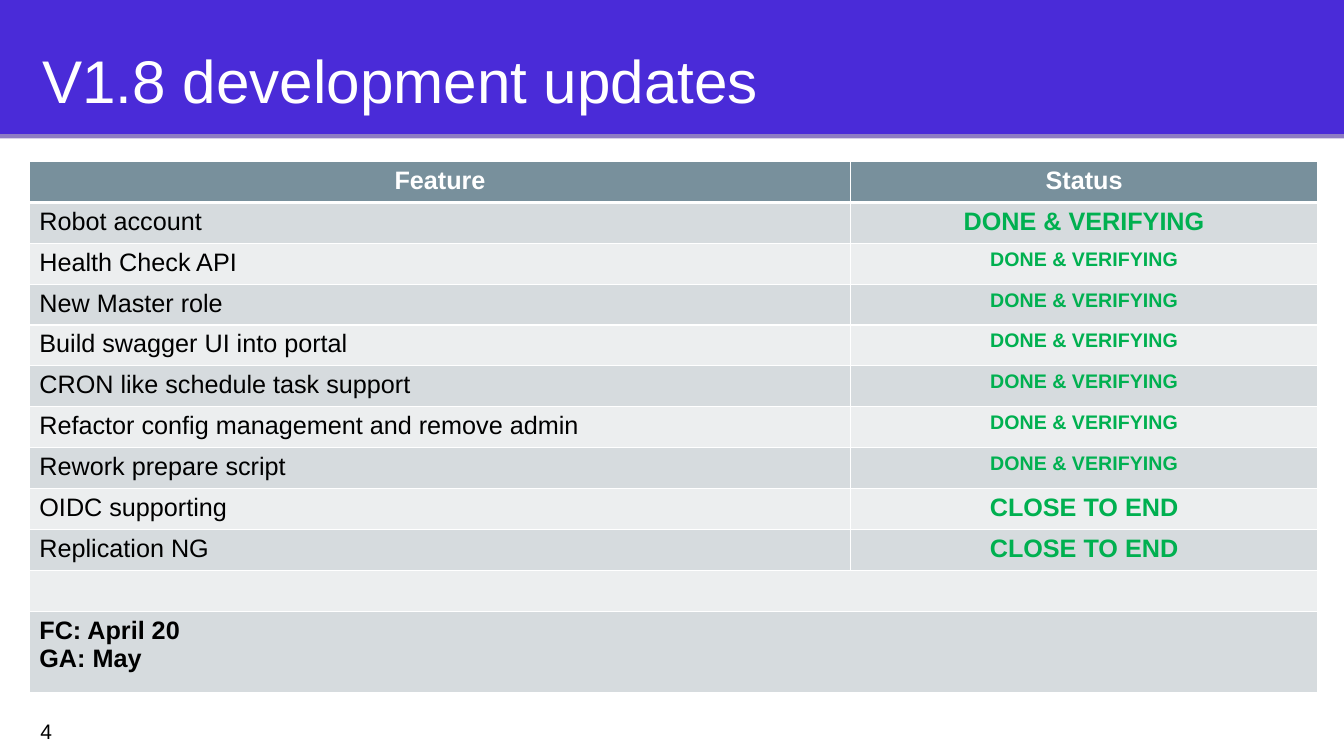
import pptx
import pptx.dml.color
import pptx.enum.shapes
import pptx.enum.text
import pptx.oxml
import pptx.oxml.ns
import pptx.util

Cm, Pt = pptx.util.Cm, pptx.util.Pt
Align = pptx.enum.text.PP_ALIGN
Anchor = pptx.enum.text.MSO_ANCHOR

COLORS = {
    "band": "4A2BD8", "rule": "8E7CC3", "head": "78909C",
    "odd": "D6DBDE", "even": "ECEEEF",
    "white": "FFFFFF", "black": "000000", "green": "00B050",
}
DONE, CLOSE = "DONE & VERIFYING", "CLOSE TO END"
TASKS = [
    ("Robot account", DONE, 18),
    ("Health Check API", DONE, 14),
    ("New Master role", DONE, 14),
    ("Build swagger UI into portal", DONE, 14),
    ("CRON like schedule task support", DONE, 14),
    ("Refactor config management and remove admin", DONE, 14),
    ("Rework prepare script", DONE, 14),
    ("OIDC supporting", CLOSE, 18),
    ("Replication NG", CLOSE, 18),
]


class Deck:
    font = "Arial"

    def __init__(self, width, height):
        self.prs = pptx.Presentation()
        self.prs.slide_width, self.prs.slide_height = Cm(width), Cm(height)
        self.slide = self.prs.slides.add_slide(self.prs.slide_layouts[6])

    def color(self, name):
        return pptx.dml.color.RGBColor.from_string(COLORS[name])

    def paint(self, item, name):
        item.fill.solid()
        item.fill.fore_color.rgb = self.color(name)

    def bar(self, top, height, name):
        kind = pptx.enum.shapes.MSO_SHAPE.RECTANGLE
        bar = self.slide.shapes.add_shape(
            kind, 0, Cm(top), self.prs.slide_width, Cm(height))
        bar.shadow.inherit = False
        bar.line.fill.background()
        self.paint(bar, name)

    def put(self, frame, text, size, name, bold=False, align=Align.LEFT):
        frame.text = text
        for par in frame.paragraphs:
            par.alignment = align
            par.font.name, par.font.size = self.font, Pt(size)
            par.font.bold = bold
            par.font.color.rgb = self.color(name)

    def label(self, text, place, size, name, anchor, inset):
        box = self.slide.shapes.add_textbox(*map(Cm, place))
        frame = box.text_frame
        frame.word_wrap = True
        frame.vertical_anchor = anchor
        frame.margin_left = frame.margin_right = frame.margin_bottom = Cm(0.33)
        frame.margin_top = Cm(inset)
        self.put(frame, text, size, name)

    def edge(self, cell, **widths):
        props = cell._tc.get_or_add_tcPr()
        space = pptx.oxml.ns.nsdecls("a")
        for spot, side in enumerate("LRTB"):
            width = Pt(widths.get(side, 1))
            props.insert(spot, pptx.oxml.parse_xml(
                f'<a:ln{side} {space} w="{width}"><a:solidFill>'
                f'<a:srgbClr val="{COLORS["white"]}"/>'
                f'</a:solidFill></a:ln{side}>'))

    def grid(self, left, top, cols, rows):
        table = self.slide.shapes.add_table(
            len(rows), len(cols), Cm(left), Cm(top),
            Cm(sum(cols)), Cm(sum(rows))).table
        table.first_row = table.horz_banding = False
        for col, width in zip(table.columns, cols):
            col.width = Cm(width)
        for num, (row, height) in enumerate(zip(table.rows, rows)):
            row.height = Cm(height)
            fill = "head" if num == 0 else "odd" if num % 2 else "even"
            # A thick line parts the header from the body
            thick = {0: {"B": 3}, 1: {"T": 3}}.get(num, {})
            for cell in row.cells:
                self.paint(cell, fill)
                self.edge(cell, **thick)
        return table


def main():
    deck = Deck(33.87, 19.05)

    # Title band
    deck.bar(0, 3.38, "band")
    deck.bar(3.38, 0.11, "rule")
    deck.label("V1.8 development updates", (0.74, 0.58, 31.55, 2.11),
               43, "white", Anchor.TOP, 0.5)

    # Page number
    deck.label("4", (0.69, 17.7, 2.03, 1.45), 15, "black", Anchor.MIDDLE, 0.33)

    # Table frame: header, tasks, gap and dates
    step = 1.03
    table = deck.grid(0.74, 4.07, [20.7, 11.76],
                      [step] * (len(TASKS) + 2) + [2 * step])

    # Header and tasks
    for col, text in enumerate(("Feature", "Status")):
        deck.put(table.cell(0, col).text_frame, text, 18, "white",
                 True, Align.CENTER)
    for row, (task, status, size) in enumerate(TASKS, 1):
        deck.put(table.cell(row, 0).text_frame, task, 18, "black")
        deck.put(table.cell(row, 1).text_frame, status, size, "green",
                 True, Align.CENTER)

    # Joined rows with the dates
    gap = len(TASKS) + 1
    for row in (gap, gap + 1):
        table.cell(row, 0).merge(table.cell(row, 1))
    deck.put(table.cell(gap + 1, 0).text_frame, "FC: April 20\nGA: May",
             18, "black", True)

    deck.prs.save("out.pptx")


if __name__ == "__main__":
    main()
